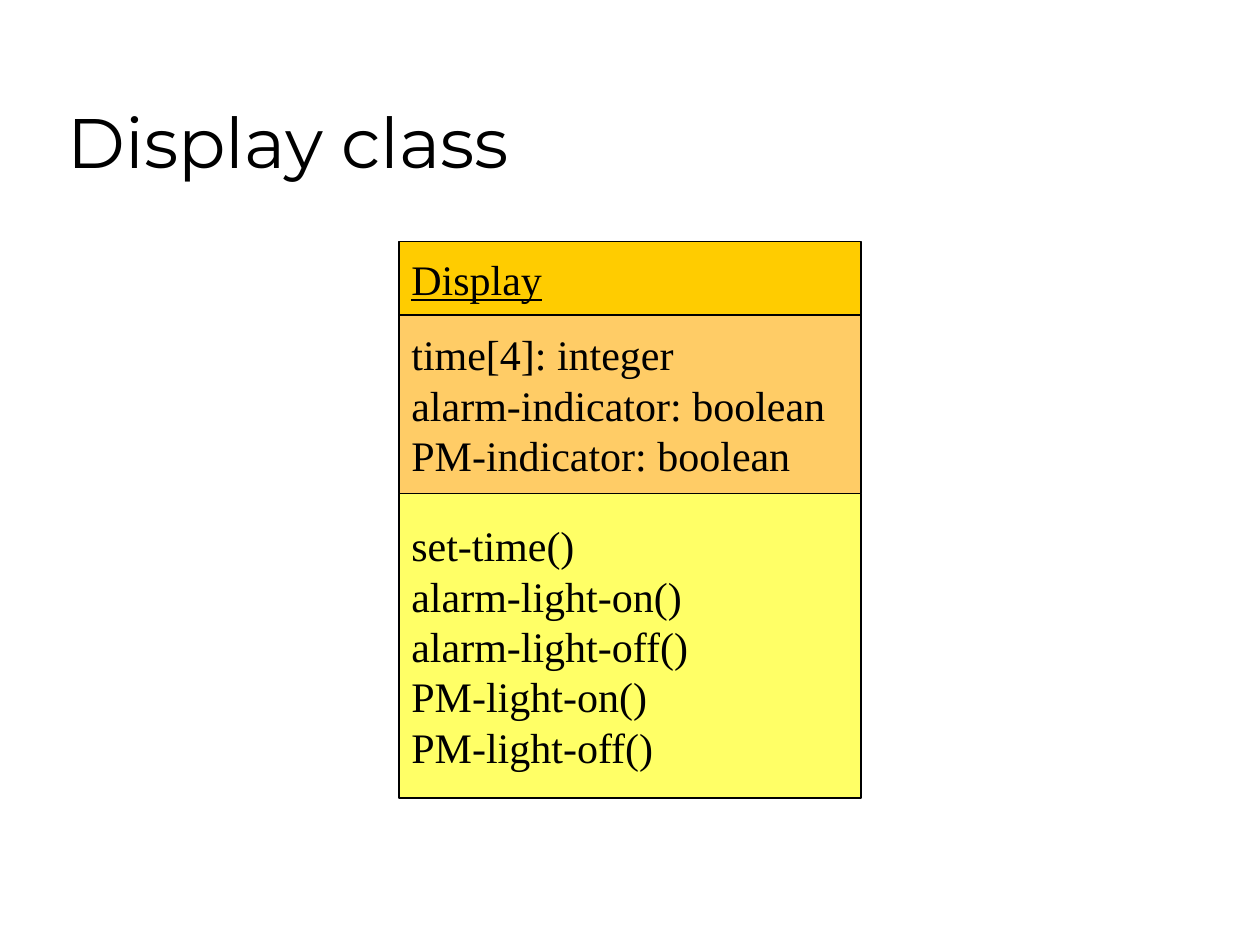
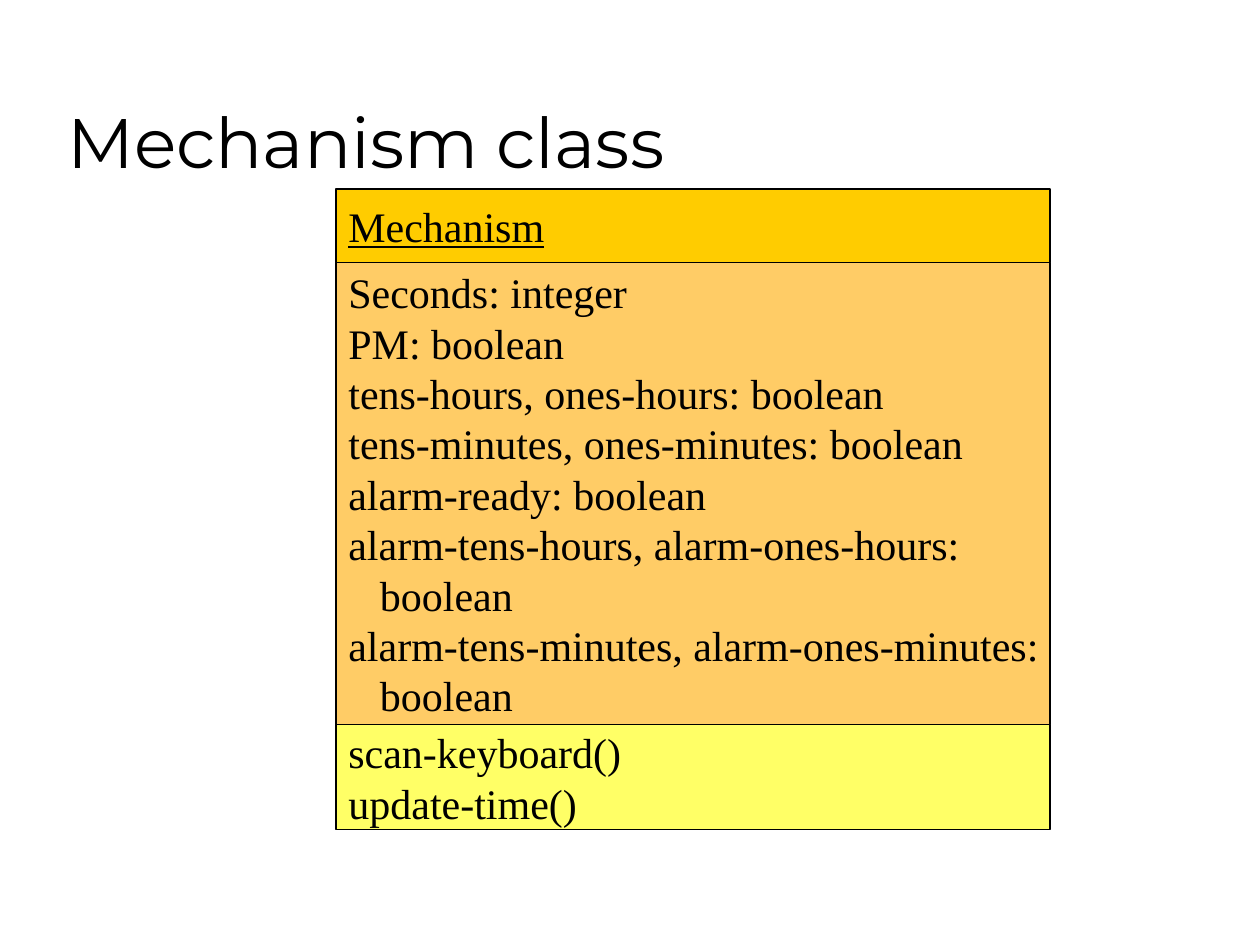
from dataclasses import dataclass

from pptx import Presentation
from pptx.dml.color import RGBColor
from pptx.enum.shapes import MSO_SHAPE
from pptx.enum.text import MSO_ANCHOR, MSO_AUTO_SIZE, PP_ALIGN
from pptx.util import Pt


@dataclass(frozen=True)
class Theme:
    """Colours, fonts and sizes shared by the slides."""
    ink: RGBColor = RGBColor(0, 0, 0)
    name_fill: RGBColor = RGBColor(0xFF, 0xCC, 0x00)
    attributes_fill: RGBColor = RGBColor(0xFF, 0xCC, 0x66)
    operations_fill: RGBColor = RGBColor(0xFF, 0xFF, 0x66)
    title_font: str = "Montserrat"
    title_size: Pt = Pt(40)
    member_font: str = "Times New Roman"
    member_size: Pt = Pt(24)
    member_spacing: Pt = Pt(28.8)
    continuation_indent: Pt = Pt(18)
    border: Pt = Pt(0.75)


THEME = Theme()

CLASSES = [
    {
        "name": "Display",
        "origin": (228, 138),
        "width": 264,
        "heights": (42, 102, 174),
        "attributes": [
            "time[4]: integer",
            "alarm-indicator: boolean",
            "PM-indicator: boolean",
        ],
        "operations": [
            "set-time()",
            "alarm-light-on()",
            "alarm-light-off()",
            "PM-light-on()",
            "PM-light-off()",
        ],
    },
    {
        "name": "Mechanism",
        "origin": (192, 108),
        "width": 408,
        "heights": (42, 264, 60),
        "attributes": [
            "Seconds: integer",
            "PM: boolean",
            "tens-hours, ones-hours: boolean",
            "tens-minutes, ones-minutes: boolean",
            "alarm-ready: boolean",
            "alarm-tens-hours, alarm-ones-hours:",
            "boolean",
            "alarm-tens-minutes, alarm-ones-minutes:",
            "boolean",
        ],
        "operations": ["scan-keyboard()", "update-time()"],
    },
]


def style_font(font, name, size):
    """Apply a typeface and size in the ink colour."""
    font.name = name
    font.size = size
    font.color.rgb = THEME.ink


def add_titled_slide(deck, heading):
    """Add a slide with its title placeholder placed and formatted."""
    slide = deck.slides.add_slide(deck.slide_layouts[5])
    title = slide.shapes.title
    title.left, title.top = Pt(31.5), Pt(18)
    title.width, title.height = Pt(612), Pt(90)
    frame = title.text_frame
    frame.text = heading
    frame.auto_size = MSO_AUTO_SIZE.NONE
    frame.vertical_anchor = MSO_ANCHOR.BOTTOM
    paragraph = frame.paragraphs[0]
    paragraph.alignment = PP_ALIGN.LEFT
    style_font(paragraph.runs[0].font, THEME.title_font, THEME.title_size)
    return slide


def add_compartment(slide, left, top, width, height, fill, members, underline=None):
    """Add one bordered class compartment listing its members."""
    compartment = slide.shapes.add_shape(
        MSO_SHAPE.RECTANGLE, Pt(left), Pt(top), Pt(width), Pt(height))
    compartment.shadow.inherit = False
    compartment.fill.solid()
    compartment.fill.fore_color.rgb = fill
    compartment.line.color.rgb = THEME.ink
    compartment.line.width = THEME.border
    frame = compartment.text_frame
    frame.word_wrap = False
    frame.vertical_anchor = MSO_ANCHOR.MIDDLE
    frame.text = "\n".join(members)
    for paragraph in frame.paragraphs:
        paragraph.alignment = PP_ALIGN.LEFT
        paragraph.line_spacing = THEME.member_spacing
        if paragraph.text == "boolean":
            properties = paragraph._p.get_or_add_pPr()
            properties.set("marL", str(THEME.continuation_indent))
        member_font = paragraph.runs[0].font
        style_font(member_font, THEME.member_font, THEME.member_size)
        member_font.underline = underline


def add_class_diagram(slide, model):
    """Stack the name, attribute and operation compartments."""
    left, top = model["origin"]
    compartments = [
        (THEME.name_fill, [model["name"]], True),
        (THEME.attributes_fill, model["attributes"], None),
        (THEME.operations_fill, model["operations"], None),
    ]
    for height, (fill, members, underline) in zip(model["heights"], compartments):
        add_compartment(slide, left, top, model["width"], height,
                        fill, members, underline)
        top += height


def main():
    """Build one slide for each class."""
    deck = Presentation()
    deck.slide_width, deck.slide_height = Pt(720), Pt(540)
    for model in CLASSES:
        slide = add_titled_slide(deck, f"{model['name']} class")
        add_class_diagram(slide, model)
    deck.save("out.pptx")


if __name__ == "__main__":
    main()
